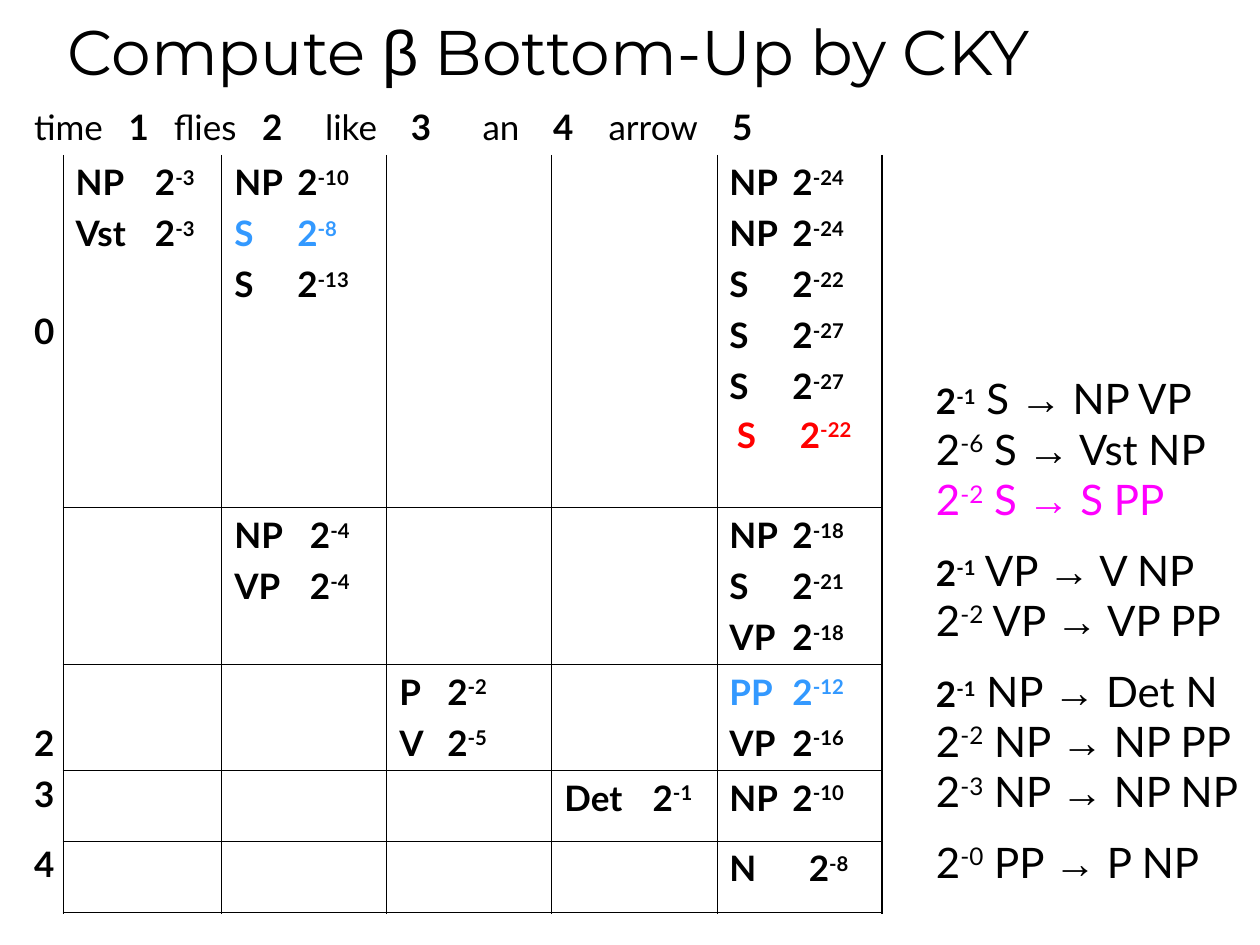
from lxml.etree import SubElement
from pptx import Presentation
from pptx.dml.color import RGBColor
from pptx.enum.text import MSO_ANCHOR, MSO_AUTO_SIZE, PP_ALIGN
from pptx.oxml import parse_xml
from pptx.oxml.ns import nsdecls, qn
from pptx.util import Inches, Pt

BLACK = RGBColor(0, 0, 0)
BLUE = RGBColor(0x33, 0x99, 0xFF)
RED = RGBColor(0xFF, 0, 0)
MAGENTA = RGBColor(0xFF, 0, 0xFF)
THIN, THICK = 0.45, 1.08

COLUMN_WIDTHS = [0.33, 1.26, 1.31, 1.31, 1.31, 1.31]
ROW_HEIGHTS = [0.44, 2.8, 1.24, 0.84, 0.56, 0.57]

# Sentence words and the position numbers between them, with their tab stops
SENTENCE = ["time", "1", "flies", "2", "like", "3", "an", "4", "arrow", "5"]
SENTENCE_TABS = [0.75, 1.11, 1.81, 2.31, 2.99, 3.56, 4.12, 4.56, 5.54]

# Row: label, anchor, line spacing
ROW_LABELS = {
    1: ("0", MSO_ANCHOR.MIDDLE, 1.0),
    3: ("2", MSO_ANCHOR.BOTTOM, 1.0),
    4: ("3", MSO_ANCHOR.TOP, 0.9),
    5: ("4", MSO_ANCHOR.TOP, 0.9),
}

# (row, column): tab stop, then constituents with exponent and optional colour
CHART = {
    (1, 1): (0.63, [("NP", -3), ("Vst", -3)]),
    (1, 2): (0.5, [("NP", -10), ("S", -8, BLUE), ("S", -13)]),
    (1, 5): (0.5, [("NP", -24), ("NP", -24), ("S", -22), ("S", -27), ("S", -27)]),
    (2, 2): (0.6, [("NP", -4), ("VP", -4)]),
    (2, 5): (0.5, [("NP", -18), ("S", -21), ("VP", -18)]),
    (3, 3): (0.38, [("P", -2), ("V", -5)]),
    (3, 5): (0.5, [("PP", -12, BLUE), ("VP", -16)]),
    (4, 4): (0.7, [("Det", -1)]),
    (4, 5): (0.5, [("NP", -10)]),
    (5, 5): (0.63, [("N", -8)]),
}

# Groups of grammar rules: exponent, left side, right side, bold weight, colour
GRAMMAR = [
    [("-1", "S", "NP VP", True, BLACK), ("-6", "S", "Vst NP", False, BLACK),
     ("-2", "S", "S PP", False, MAGENTA)],
    [("-1", "VP", "V NP", True, BLACK), ("-2", "VP", "VP PP", False, BLACK)],
    [("-1", "NP", "Det N", True, BLACK), ("-2", "NP", "NP PP", False, BLACK),
     ("-3", "NP", "NP NP", False, BLACK)],
    [("-0", "PP", "P NP", False, BLACK)],
]


def add_span(para, text, size=20, font="Lato", color=BLACK, bold=False, raised=False):
    span = para.add_run()
    span.text = text
    span.font.size = Pt(size)
    span.font.name = font
    span.font.bold = bold
    span.font.color.rgb = color
    if raised:
        span.font._element.set("baseline", "30000")


def set_tabs(para, stops):
    tabs = SubElement(para._p.get_or_add_pPr(), qn("a:tabLst"))
    for stop in stops:
        SubElement(tabs, qn("a:tab"), pos=str(Inches(stop)), algn="l")


def next_para(frame, index):
    return frame.add_paragraph() if index else frame.paragraphs[0]


def add_box(page, left, top, width, height, wrap=True):
    frame = page.shapes.add_textbox(
        Inches(left), Inches(top), Inches(width), Inches(height)).text_frame
    frame.word_wrap = wrap
    return frame


def add_entry(para, tab, symbol, exponent, color=BLACK):
    set_tabs(para, [tab])
    add_span(para, f"{symbol}\t2", color=color, bold=True)
    add_span(para, str(exponent), color=color, bold=True, raised=True)


def set_borders(cell, left, right, top, bottom):
    properties = cell._tc.get_or_add_tcPr()
    sides = {"lnL": left, "lnR": right, "lnT": top, "lnB": bottom}
    for index, (side, width) in enumerate(sides.items()):
        fill = (f'<a:solidFill><a:srgbClr val="{BLACK}"/></a:solidFill>'
                if width else "<a:noFill/>")
        properties.insert(index, parse_xml(
            f'<a:{side} {nsdecls("a")} w="{Pt(width)}">{fill}</a:{side}>'))


def style_grid(table):
    last_row, last_column = len(ROW_HEIGHTS) - 1, len(COLUMN_WIDTHS) - 1
    for row in range(last_row + 1):
        for column in range(last_column + 1):
            cell = table.cell(row, column)
            cell.fill.background()
            inside = row > 0 and column > 0
            set_borders(
                cell,
                left=THIN if inside else 0,
                right=0 if row == 0 else THICK if column == last_column else THIN,
                top=THIN if inside and row > 1 else 0,
                bottom=0 if not inside else THICK if row == last_row else THIN)


def add_parse_table(page):
    table = page.shapes.add_table(
        len(ROW_HEIGHTS), len(COLUMN_WIDTHS), Inches(0.17), Inches(0.79),
        Inches(sum(COLUMN_WIDTHS)), Inches(sum(ROW_HEIGHTS))).table
    table.first_row = table.horz_banding = False
    for column, width in zip(table.columns, COLUMN_WIDTHS):
        column.width = Inches(width)
    for row, height in zip(table.rows, ROW_HEIGHTS):
        row.height = Inches(height)
    style_grid(table)

    # Sentence across the top
    table.cell(0, 0).merge(table.cell(0, len(COLUMN_WIDTHS) - 1))
    para = table.cell(0, 0).text_frame.paragraphs[0]
    set_tabs(para, SENTENCE_TABS)
    for index, word in enumerate(SENTENCE):
        add_span(para, f"\t{word}" if index else word, bold=word.isdigit())

    # Start positions down the side
    for row, (label, anchor, spacing) in ROW_LABELS.items():
        cell = table.cell(row, 0)
        cell.vertical_anchor = anchor
        para = cell.text_frame.paragraphs[0]
        para.alignment = PP_ALIGN.CENTER
        para.line_spacing = spacing
        add_span(para, label, bold=True)

    # Constituents with their probabilities
    for (row, column), (tab, entries) in CHART.items():
        frame = table.cell(row, column).text_frame
        for index, entry in enumerate(entries):
            para = next_para(frame, index)
            add_entry(para, tab, *entry)
            if index:
                para.space_before = Pt(5)


def add_grammar(page):
    frame = add_box(page, 7.33, 2.91, 2.67, 4.18)
    frame.auto_size = MSO_AUTO_SIZE.SHAPE_TO_FIT_TEXT
    count = 0
    for group_index, group in enumerate(GRAMMAR):
        for rule_index, (exponent, parent, children, bold, color) in enumerate(group):
            para = next_para(frame, count)
            count += 1
            if group_index and rule_index == 0:
                para.line_spacing = 1.4
            size = 20 if bold else 24
            add_span(para, "2", size, color=color, bold=bold)
            add_span(para, exponent, size, color=color, bold=bold, raised=True)
            add_span(para, f" {parent} ", 24, color=color)
            add_span(para, "→", 24, "Arial", color)
            add_span(para, f" {children}", 24, color=color)


def add_title(page):
    frame = add_box(page, 0.44, 0.06, 9.14, 0.69)
    frame.vertical_anchor = MSO_ANCHOR.BOTTOM
    para = frame.paragraphs[0]
    add_span(para, "Compute ", 36, "Montserrat")
    add_span(para, "β", 36, "Arial")
    add_span(para, " Bottom-Up by CKY", 36, "Montserrat")


def add_new_entry(page):
    frame = add_box(page, 5.75, 3.23, 1.11, 0.44, wrap=False)
    add_entry(frame.paragraphs[0], 0.5, "S", -22, RED)


def main():
    deck = Presentation()
    deck.slide_width, deck.slide_height = Inches(10), Inches(7.5)
    page = deck.slides.add_slide(deck.slide_layouts[6])
    add_parse_table(page)
    add_grammar(page)
    add_title(page)
    add_new_entry(page)
    deck.save("out.pptx")


if __name__ == "__main__":
    main()
